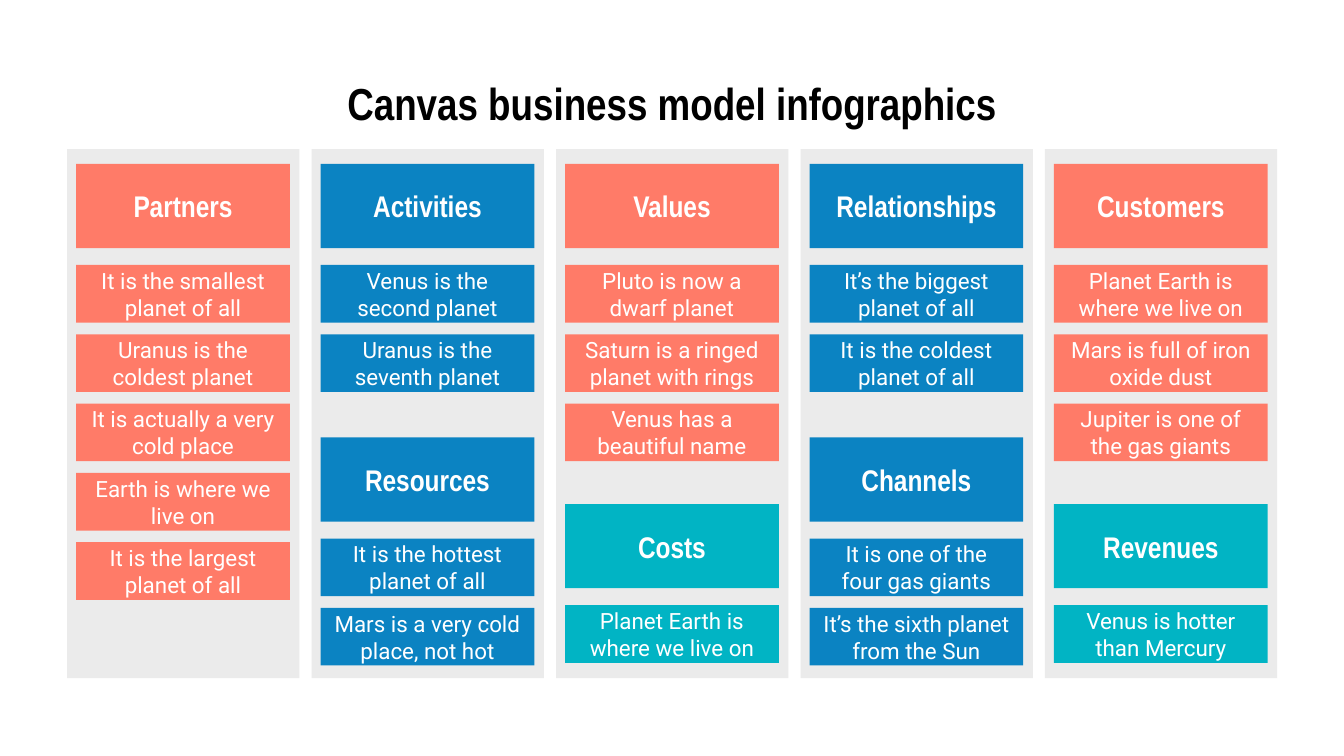
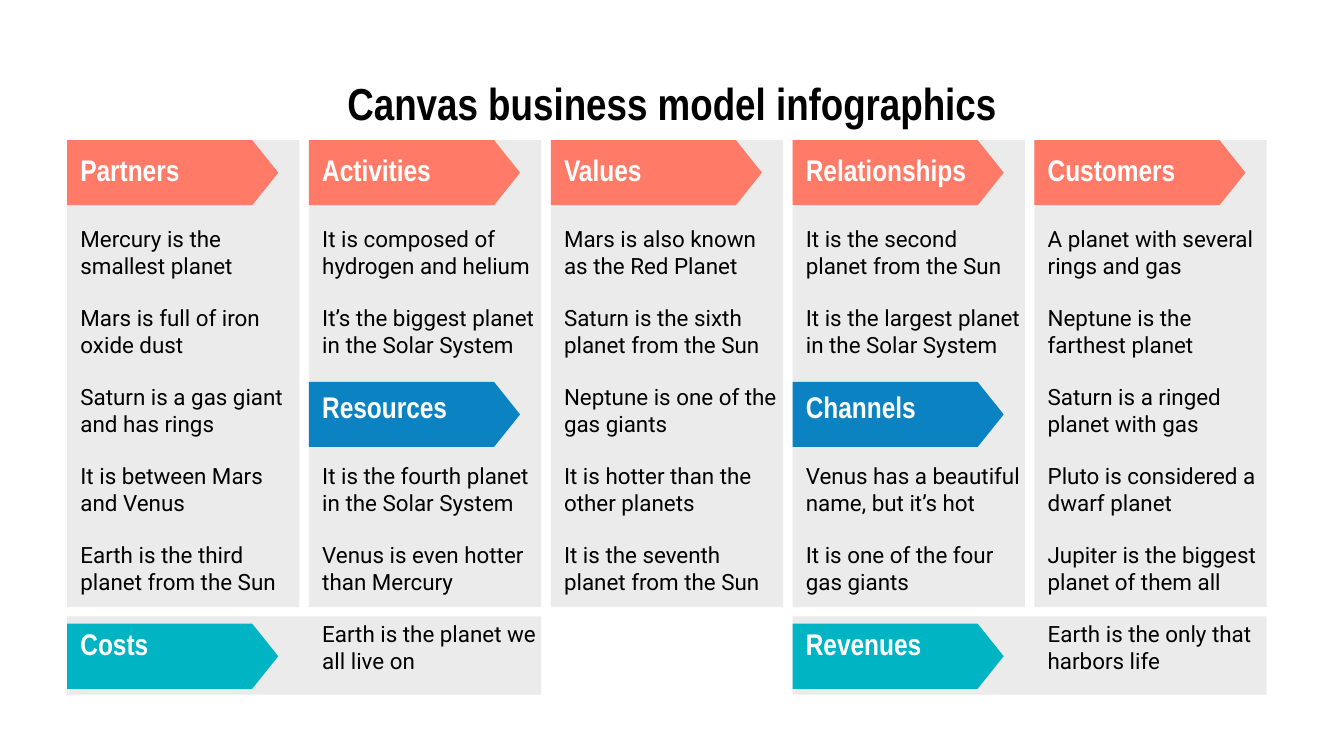
"""Build two business model canvas slides."""
from dataclasses import dataclass

from pptx import Presentation
from pptx.dml.color import RGBColor as Rgb
from pptx.enum.shapes import MSO_SHAPE as Shape
from pptx.enum.text import MSO_ANCHOR as Anchor, PP_ALIGN as Align
from pptx.oxml.ns import qn
from pptx.util import Cm, Pt


@dataclass(frozen=True)
class Theme:
    """Colours, fonts, type sizes and shared measures in centimetres."""
    ink: str = "000000"
    paper: str = "FFFFFF"
    panel: str = "EBEBEB"
    coral: str = "FF7B68"
    blue: str = "0B83C2"
    teal: str = "01B4C4"
    head_font: str = "Arial Narrow"
    body_font: str = "Roboto"
    title_size: int = 24
    head_size: int = 16
    body_size: int = 12
    margin: float = 1.27
    inset: float = 0.25
    panel_width: float = 4.39


THEME = Theme()
TITLE = "Canvas business model infographics"
PLAIN_TABLE = "{2D5ABB26-0587-4C30-8999-92F81FD0307C}"

UPPER, MIDDLE, LOWER = 3.1, 8.27, 9.53
CARD_COLUMNS = [
    [(UPPER, THEME.coral, "Partners", [
        "It is the smallest planet of all",
        "Uranus is the coldest planet",
        "It is actually a very cold place",
        "Earth is where we live on",
        "It is the largest planet of all"])],
    [(UPPER, THEME.blue, "Activities", [
        "Venus is the second planet",
        "Uranus is the seventh planet"]),
     (MIDDLE, THEME.blue, "Resources", [
         "It is the hottest planet of all",
         "Mars is a very cold place, not hot"])],
    [(UPPER, THEME.coral, "Values", [
        "Pluto is now a dwarf planet",
        "Saturn is a ringed planet with rings",
        "Venus has a beautiful name"]),
     (LOWER, THEME.teal, "Costs", ["Planet Earth is where we live on"])],
    [(UPPER, THEME.blue, "Relationships", [
        "It’s the biggest planet of all",
        "It is the coldest planet of all"]),
     (MIDDLE, THEME.blue, "Channels", [
         "It is one of the four gas giants",
         "It’s the sixth planet from the Sun"])],
    [(UPPER, THEME.coral, "Customers", [
        "Planet Earth is where we live on",
        "Mars is full of iron oxide dust",
        "Jupiter is one of the gas giants"]),
     (LOWER, THEME.teal, "Revenues", ["Venus is hotter than Mercury"])],
]

TABLE_ROWS = [
    ["Partners", "Activities", "Values", "Relationships", "Customers"],
    ["Mercury is the smallest planet",
     "It is composed of hydrogen and helium",
     "Mars is also known as the Red Planet",
     "It is the second planet from the Sun",
     "A planet with several rings and gas"],
    ["Mars is full of iron oxide dust",
     "It’s the biggest planet in the Solar System",
     "Saturn is the sixth planet from the Sun",
     "It is the largest planet in the Solar System",
     "Neptune is the farthest planet"],
    ["Saturn is a gas giant and has rings",
     "Resources",
     "Neptune is one of the gas giants",
     "Channels",
     "Saturn is a ringed planet with gas"],
    ["It is between Mars and Venus",
     "It is the fourth planet in the Solar System",
     "It is hotter than the other planets",
     "Venus has a beautiful name, but it’s hot",
     "Pluto is considered a dwarf planet"],
    ["Earth is the third planet from the Sun",
     "Venus is even hotter than Mercury",
     "It is the seventh planet from the Sun",
     "It is one of the four gas giants",
     "Jupiter is the biggest planet of them all"],
    ["Costs", "Earth is the planet we all live on", "", "Revenues",
     "Earth is the only that harbors life"],
]
ROW_HEIGHTS = [1.52, 1.2, 1.22, 1.22, 1.22, 1.2, 1.27]
ARROW_ROWS = {0: (2.65, THEME.coral, range(5)),
              3: (7.22, THEME.blue, (1, 3)),
              6: (11.79, THEME.teal, (0, 3))}


class Canvas:
    """Hold the style and the current slide, and draw each kind of element."""

    def __init__(self, deck, theme):
        """Keep the deck and its theme."""
        self.deck = deck
        self.theme = theme
        self.page = None

    def add_page(self, title):
        """Start a slide with a centred title."""
        self.page = self.deck.slides.add_slide(self.deck.slide_layouts[5])
        box = self.page.shapes.title
        box.left, box.top = Cm(self.theme.margin), Cm(1.14)
        box.width, box.height = Cm(22.86), Cm(1.6)
        self.set_text(box.text_frame, title, self.theme.title_size, self.theme.ink, True)

    def style_para(self, para, size, colour, bold, align):
        """Set the font and alignment of a paragraph."""
        para.alignment = align
        para.font.name = self.theme.head_font if bold else self.theme.body_font
        para.font.size = Pt(size)
        para.font.bold = bold
        para.font.color.rgb = Rgb.from_string(colour)

    def set_text(self, frame, text, size, colour, bold):
        """Fill a frame with one centred paragraph."""
        inset = Cm(self.theme.inset)
        frame.margin_left = frame.margin_right = inset
        frame.margin_top = frame.margin_bottom = inset
        frame.word_wrap = True
        frame.vertical_anchor = Anchor.MIDDLE
        frame.text = text
        self.style_para(frame.paragraphs[0], size, colour, bold, Align.CENTER)

    def block(self, left, top, width, height, colour, kind=Shape.RECTANGLE):
        """Draw a flat shape without outline."""
        shape = self.page.shapes.add_shape(
            kind, Cm(left), Cm(top), Cm(width), Cm(height))
        shape.shadow.inherit = False
        shape.fill.solid()
        shape.fill.fore_color.rgb = Rgb.from_string(colour)
        shape.line.fill.background()
        return shape

    def panels(self, pitch, top, height):
        """Draw five grey panels and return their left edges."""
        lefts = [self.theme.margin + pitch * index for index in range(5)]
        for left in lefts:
            self.block(left, top, self.theme.panel_width, height, self.theme.panel)
        return lefts

    def card(self, left, top, height, colour, text, size, bold):
        """Draw a coloured card with white text."""
        shape = self.block(left, top, 4.04, height, colour)
        self.set_text(shape.text_frame, text, size, self.theme.paper, bold)

    def card_group(self, left, top, colour, heading, items):
        """Draw a heading card and the item cards below it."""
        self.card(left, top, 1.59, colour, heading, self.theme.head_size, True)
        for index, item in enumerate(items):
            self.card(left, top + 1.91 + 1.31 * index, 1.09, colour, item,
                      self.theme.body_size, False)

    def arrow(self, left, top, colour):
        """Draw a pentagon heading band."""
        shape = self.block(left, top, 3.99, 1.23, colour, Shape.PENTAGON)
        shape.adjustments[0] = 0.4

    def table(self, rows, heights, pitch, headings):
        """Add a clear table whose heading cells have bold white text."""
        frame = self.page.shapes.add_table(
            len(rows), len(rows[0]), Cm(self.theme.margin), Cm(2.52),
            Cm(pitch * len(rows[0])), Cm(sum(heights)))
        frame.element.find(".//" + qn("a:tableStyleId")).text = PLAIN_TABLE
        table = frame.table
        table.first_row = table.horz_banding = False
        for column in table.columns:
            column.width = Cm(pitch)
        for number, (row, height) in enumerate(zip(rows, heights)):
            table.rows[number].height = Cm(height)
            for index, text in enumerate(row):
                self.cell(table.cell(number, index), text, (number, index) in headings)

    def cell(self, cell, text, heading):
        """Fill one table cell."""
        theme = self.theme
        inset = Cm(theme.inset)
        cell.margin_left = cell.margin_right = inset
        cell.margin_top = cell.margin_bottom = inset
        cell.vertical_anchor = Anchor.MIDDLE
        cell.fill.background()
        cell.text = text
        size = theme.head_size if heading else theme.body_size
        colour = theme.paper if heading else theme.ink
        self.style_para(cell.text_frame.paragraphs[0], size, colour, heading, Align.LEFT)


def build_cards(canvas):
    """Build the slide of card columns."""
    canvas.add_page(TITLE)
    for left, groups in zip(canvas.panels(4.62, 2.82, 10), CARD_COLUMNS):
        for group in groups:
            canvas.card_group(left + 0.17, *group)


def build_table(canvas):
    """Build the slide of the table over arrow bands."""
    pitch = 4.57
    canvas.add_page(TITLE)
    lefts = canvas.panels(pitch, 2.65, 8.83)
    for index in (0, 3):
        canvas.block(lefts[index], 11.65, pitch + THEME.panel_width, 1.48, THEME.panel)
    headings = set()
    for row, (top, colour, columns) in ARROW_ROWS.items():
        for column in columns:
            canvas.arrow(lefts[column], top, colour)
            headings.add((row, column))
    canvas.table(TABLE_ROWS, ROW_HEIGHTS, pitch, headings)


def main():
    """Build and save the deck."""
    deck = Presentation()
    deck.slide_width, deck.slide_height = Cm(25.4), Cm(14.29)
    canvas = Canvas(deck, THEME)
    build_cards(canvas)
    build_table(canvas)
    deck.save("out.pptx")


if __name__ == "__main__":
    main()
